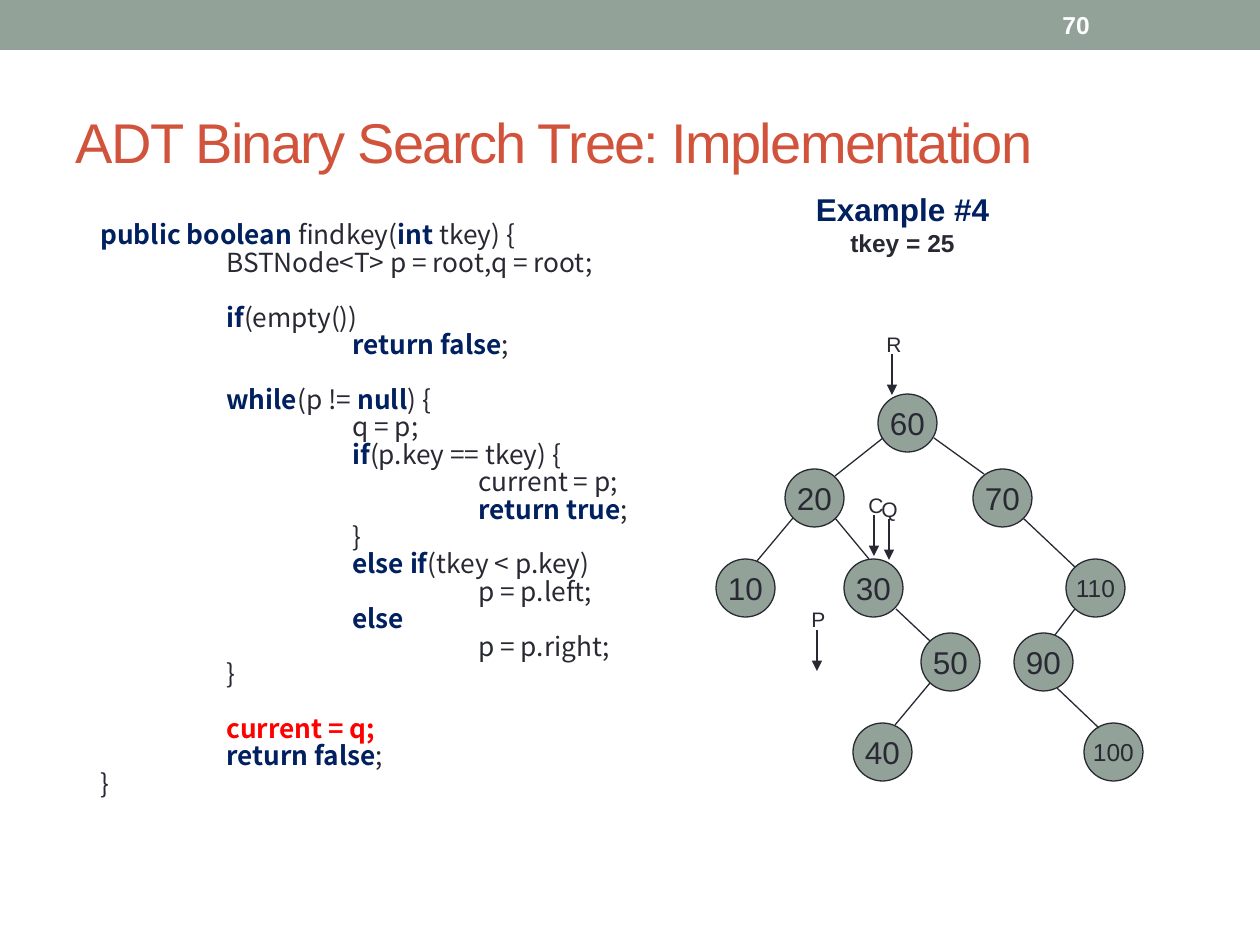
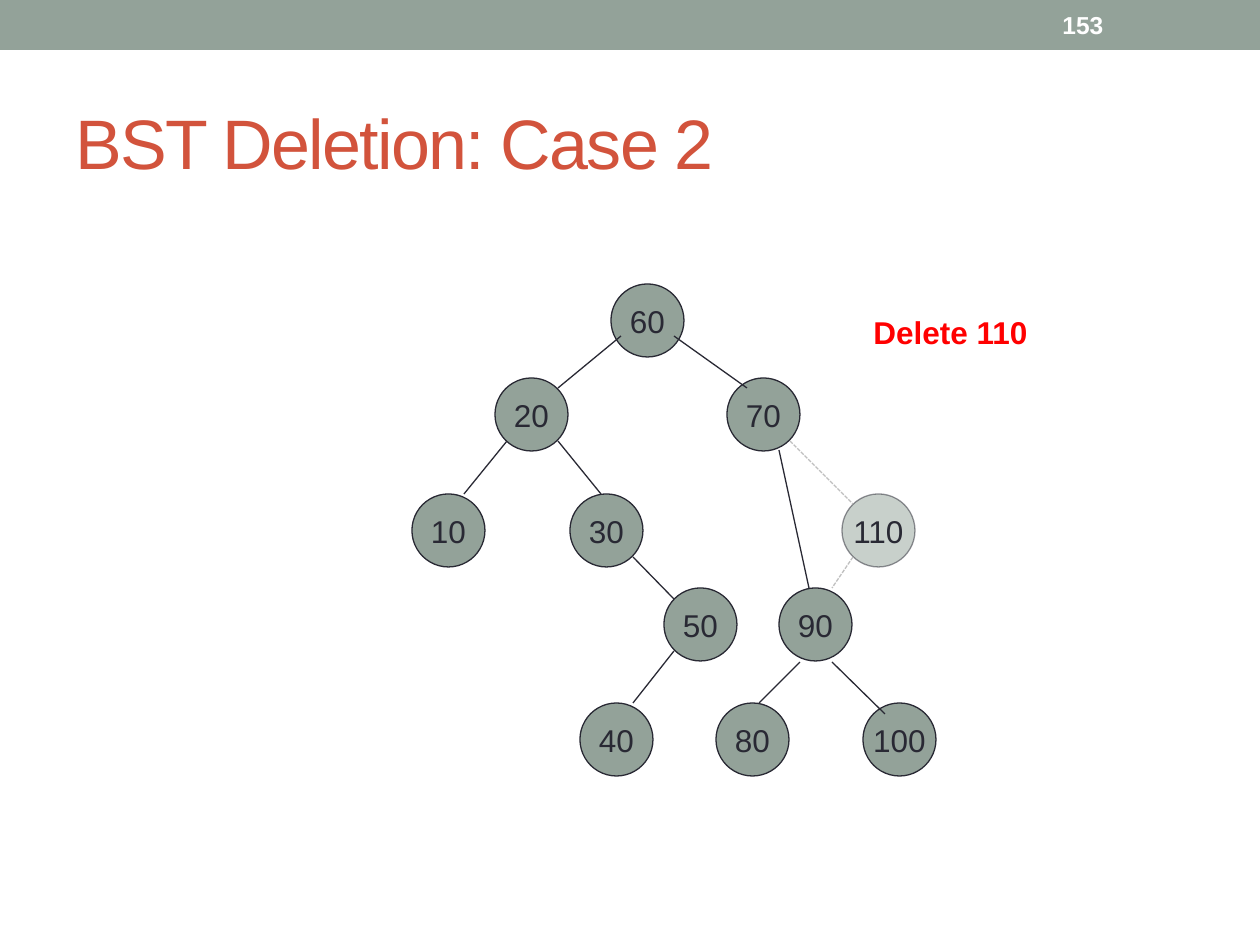
from dataclasses import dataclass

import pptx
import pptx.dml.color
import pptx.enum.dml
import pptx.enum.shapes
import pptx.enum.text
import pptx.oxml
import pptx.oxml.ns
import pptx.util

PX = 914400 / 126
INK, SAGE, RUST = "292934", "93A299", "D2533C"
NAVY, RED, WHITE, PALE = "002060", "FF0000", "FFFFFF", "BFBFBF"
SANS, CODE_FONT = "Arial", "Noto Sans CJK SC"
TAB, HANGING = 126, 25
LINE_SPACE, GAP_SPACE = 3.06, 18.7
LEFT = pptx.enum.text.PP_ALIGN.LEFT
CENTER = pptx.enum.text.PP_ALIGN.CENTER
TOP = pptx.enum.text.MSO_ANCHOR.TOP
MIDDLE = pptx.enum.text.MSO_ANCHOR.MIDDLE


@dataclass(frozen=True)
class Node:
    key: int
    left: int
    level: int
    size: int = 18
    opacity: int = 100


@dataclass(frozen=True)
class Edge:
    x1: int
    y1: int
    x2: int
    y2: int
    color: str = INK
    dashed: bool = False
    arrow: bool = False


@dataclass(frozen=True)
class Tree:
    node_width: int
    node_height: int
    level_tops: tuple[int, ...]
    nodes: tuple[Node, ...]
    edges: tuple[Edge, ...]


@dataclass(frozen=True)
class Pointer:
    name: str
    left: int
    top: int
    arrow_x: int
    arrow_top: int


@dataclass(frozen=True)
class CodeLine:
    """A line of code; words between asterisks are emphasised."""
    indent: int
    text: str
    emphasis: str = NAVY
    gap: bool = False


SEARCH_TREE = Tree(
    59, 58, (394, 469, 559, 633, 723),
    (
        Node(60, 878, 0),
        Node(20, 785, 1), Node(70, 973, 1),
        Node(10, 716, 2), Node(30, 844, 2), Node(110, 1066, 2, size=14),
        Node(50, 921, 3), Node(90, 1014, 3),
        Node(40, 853, 4), Node(100, 1084, 4, size=14),
    ),
    (
        Edge(883, 438, 835, 476), Edge(934, 438, 984, 474),
        Edge(793, 518, 757, 561), Edge(835, 518, 869, 559),
        Edge(1023, 518, 1075, 567), Edge(1075, 609, 1055, 635),
        Edge(896, 609, 930, 641), Edge(930, 683, 895, 725),
        Edge(1057, 688, 1099, 728),
    ),
)

DELETION_TREE = Tree(
    73, 73, (284, 378, 494, 588, 703),
    (
        Node(60, 611, 0),
        Node(20, 495, 1), Node(70, 727, 1),
        Node(10, 412, 2), Node(30, 570, 2), Node(110, 842, 2, opacity=50),
        Node(50, 664, 3), Node(90, 779, 3),
        Node(40, 580, 4), Node(80, 716, 4), Node(100, 863, 4),
    ),
    (
        Edge(621, 336, 558, 388), Edge(674, 336, 747, 388),
        Edge(507, 441, 464, 494), Edge(558, 441, 601, 494),
        Edge(790, 441, 853, 504, PALE, dashed=True),
        Edge(853, 557, 832, 588, PALE, dashed=True),
        Edge(633, 557, 674, 599), Edge(674, 651, 633, 703),
        Edge(832, 662, 885, 714), Edge(800, 662, 759, 703),
        Edge(779, 450, 809, 588),
    ),
)

POINTERS = (
    Pointer("R", 874, 325, 892, 354),
    Pointer("C", 856, 486, 874, 515),
    Pointer("Q", 869, 490, 889, 519),
    Pointer("P", 799, 600, 817, 630),
)
ARROW_LENGTH = 41

FINDKEY = (
    CodeLine(0, "*public boolean *findkey(*int *tkey) {"),
    CodeLine(1, "BSTNode<T> p = root,q = root;"),
    CodeLine(1, "*if*(empty())", gap=True),
    CodeLine(2, "*return false*;"),
    CodeLine(1, "*while*(p != *null*) {", gap=True),
    CodeLine(2, "q = p;"),
    CodeLine(2, "*if*(p.key == tkey) {"),
    CodeLine(3, "current = p;"),
    CodeLine(3, "*return true*;"),
    CodeLine(2, "}"),
    CodeLine(2, "*else if*(tkey < p.key)"),
    CodeLine(3, "p = p.left;"),
    CodeLine(2, "*else*"),
    CodeLine(3, "p = p.right;"),
    CodeLine(1, "}"),
    CodeLine(1, "*current = q;*", emphasis=RED, gap=True),
    CodeLine(1, "*return false*;"),
    CodeLine(0, "}"),
)


def px(length: float) -> pptx.util.Emu:
    return pptx.util.Emu(round(length * PX))


def rgb(color: str) -> pptx.dml.color.RGBColor:
    return pptx.dml.color.RGBColor.from_string(color)


def add_span(para, text: str, *, size: float, color: str = INK, bold: bool = False,
             font: str = SANS, tracking: int = 0) -> None:
    span = para.add_run()
    span.text = text
    span.font.name = font
    span.font.size = pptx.util.Pt(size)
    span.font.bold = bold
    span.font.color.rgb = rgb(color)
    if tracking:
        span.font._element.set("spc", str(tracking))


def write(frame, text: str, *, align=LEFT, anchor=TOP, wrap: bool = True, **style) -> None:
    """Fill the first paragraph of a text frame."""
    frame.word_wrap = wrap
    frame.vertical_anchor = anchor
    para = frame.paragraphs[0]
    para.alignment = align
    add_span(para, text, **style)


def add_text(page, left: int, top: int, width: int, height: int, text: str, **style):
    box = page.shapes.add_textbox(px(left), px(top), px(width), px(height))
    write(box.text_frame, text, **style)
    return box


def fade(fill, opacity: int) -> None:
    color = fill._xPr.find(".//" + pptx.oxml.ns.qn("a:srgbClr"))
    alpha = color.makeelement(pptx.oxml.ns.qn("a:alpha"), {"val": str(opacity * 1000)})
    color.append(alpha)


def add_filled(page, kind, left: int, top: int, width: int, height: int):
    shape = page.shapes.add_shape(kind, px(left), px(top), px(width), px(height))
    shape.shadow.inherit = False
    shape.fill.solid()
    shape.fill.fore_color.rgb = rgb(SAGE)
    shape.line.fill.background()
    return shape


def add_page(deck, title: str, number: int, title_size: int):
    """Add a slide with its band, title and number."""
    page = deck.slides.add_slide(deck.slide_layouts[5])
    heading = page.shapes.title
    heading.left, heading.top = px(63), px(73)
    heading.width, heading.height = px(1134), px(137)
    write(heading.text_frame, title, anchor=MIDDLE, size=title_size, color=RUST, tracking=-100)
    add_filled(page, pptx.enum.shapes.MSO_SHAPE.RECTANGLE, 0, 0, 1260, 50)
    add_text(page, 1050, 2, 147, 45, str(number), anchor=MIDDLE,
             size=14, color=WHITE, bold=True)
    return page


def add_node(page, node: Node, tree: Tree) -> None:
    circle = add_filled(page, pptx.enum.shapes.MSO_SHAPE.OVAL, node.left,
                        tree.level_tops[node.level], tree.node_width, tree.node_height)
    circle.line.color.rgb = rgb(INK)
    circle.line.width = pptx.util.Pt(0.75)
    if node.opacity < 100:
        fade(circle.fill, node.opacity)
        fade(circle.line.fill, node.opacity)
    write(circle.text_frame, str(node.key), align=CENTER, anchor=MIDDLE, wrap=False,
          size=node.size)


def add_edge(page, edge: Edge) -> None:
    line = page.shapes.add_connector(pptx.enum.shapes.MSO_CONNECTOR.STRAIGHT,
                                     px(edge.x1), px(edge.y1), px(edge.x2), px(edge.y2))
    line.line.color.rgb = rgb(edge.color)
    line.line.width = pptx.util.Pt(0.75)
    if edge.dashed:
        line.line.dash_style = pptx.enum.dml.MSO_LINE.SQUARE_DOT
    properties = line._element.spPr
    if edge.arrow:
        head = properties.makeelement(pptx.oxml.ns.qn("a:tailEnd"), {"type": "triangle"})
        line.line._get_or_add_ln().append(head)
    properties.append(properties.makeelement(pptx.oxml.ns.qn("a:effectLst"), {}))


def add_tree(page, tree: Tree) -> None:
    for node in tree.nodes:
        add_node(page, node, tree)
    for edge in tree.edges:
        add_edge(page, edge)


def add_pointer(page, pointer: Pointer) -> None:
    add_text(page, pointer.left, pointer.top, 41, 38, pointer.name, size=12)
    add_edge(page, Edge(pointer.arrow_x, pointer.arrow_top, pointer.arrow_x,
                        pointer.arrow_top + ARROW_LENGTH, arrow=True))


def add_code(page, lines: tuple[CodeLine, ...]) -> None:
    box = page.shapes.add_textbox(px(63), px(221), px(1134), px(672))
    frame = box.text_frame
    frame.word_wrap = True
    for index, line in enumerate(lines):
        para = frame.add_paragraph() if index else frame.paragraphs[0]
        para.line_spacing = 0.7
        para.space_before = pptx.util.Pt(GAP_SPACE if line.gap else LINE_SPACE)
        para._p.get_or_add_pPr().set("marL", str(px(HANGING + line.indent * TAB)))
        for position, text in enumerate(line.text.split("*")):
            emphasised = position % 2 == 1
            if text:
                add_span(para, text, size=15, font=CODE_FONT, bold=emphasised,
                         color=line.emphasis if emphasised else INK)


def build_search_page(deck) -> None:
    page = add_page(deck, "ADT Binary Search Tree: Implementation", 70, title_size=32)
    add_code(page, FINDKEY)
    add_tree(page, SEARCH_TREE)
    example = add_text(page, 799, 184, 207, 81, "Example #4", align=CENTER,
                       size=18, color=NAVY, bold=True)
    target = example.text_frame.add_paragraph()
    target.alignment = CENTER
    add_span(target, "tkey = 25", size=14, bold=True)
    for pointer in POINTERS:
        add_pointer(page, pointer)


def build_deletion_page(deck) -> None:
    page = add_page(deck, "BST Deletion: Case 2", 153, title_size=40)
    add_tree(page, DELETION_TREE)
    add_text(page, 861, 307, 194, 50, "Delete 110", size=18, color=RED, bold=True)


def main() -> None:
    deck = pptx.Presentation()
    deck.slide_width, deck.slide_height = px(1260), px(945)
    build_search_page(deck)
    build_deletion_page(deck)
    deck.save("out.pptx")


if __name__ == "__main__":
    main()
